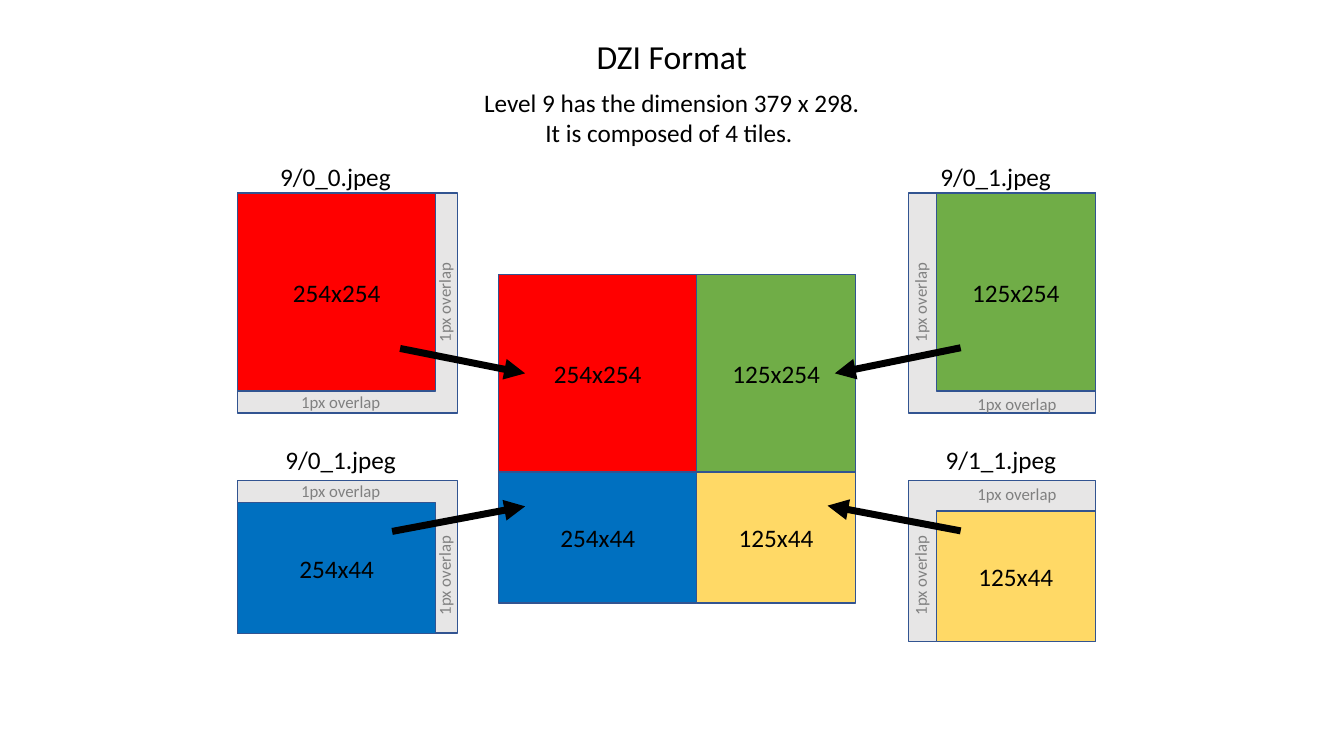
from collections import namedtuple
from pptx import Presentation
from pptx.dml.color import RGBColor
from pptx.enum.shapes import MSO_CONNECTOR, MSO_SHAPE
from pptx.enum.text import MSO_ANCHOR, MSO_AUTO_SIZE, PP_ALIGN
from pptx.oxml.ns import qn
from pptx.util import Pt
from lxml import etree

RECT = MSO_SHAPE.RECTANGLE
STRAIGHT = MSO_CONNECTOR.STRAIGHT
MIDDLE = MSO_ANCHOR.MIDDLE
FIT_SHAPE = MSO_AUTO_SIZE.SHAPE_TO_FIT_TEXT
LEFT, CENTER = PP_ALIGN.LEFT, PP_ALIGN.CENTER

FONT = "Calibri"
BLACK, GRAY, OVERLAP, OUTLINE = "000000", "808080", "E7E6E6", "325491"
COL_W = (141.3, 113.6)
ROW_H = (141.3, 93.5)
MOSAIC_X, MOSAIC_Y = 356.3, 195.9

Tile = namedtuple("Tile", "col row size color frame offset name name_at across_at down_at arrow")
TILES = [
    Tile(0, 0, "254x254", "FF0000", (169.8, 138, 157, 157), (0, 0),
         "9/0_0.jpeg", (193, 111.6), (208, 275.9), (281.5, 204.5),
         (285.8, 248.9, 375.1, 266.7)),
    Tile(1, 0, "125x254", "70AD47", (648.9, 138, 133.5, 157), (19.9, 0),
         "9/0_1.jpeg", (664.6, 111.6), (691, 278), (621.4, 204.5),
         (686.2, 248.4, 596.3, 266.7)),
    Tile(0, 1, "254x44", "0070C0", (169.8, 343.3, 157, 109), (0, 15.7),
         "9/0_1.jpeg", (196.7, 314), (208, 340), (281.5, 399.6),
         (280.1, 379.6, 375.1, 361.7)),
    Tile(1, 1, "125x44", "FFD966", (648.9, 343.3, 133.5, 115), (19.9, 21.7),
         "9/1_1.jpeg", (668.3, 314), (691, 342), (621.4, 399.6),
         (686.2, 379.2, 591.1, 361.2)),
]


def rgb(value):
    return RGBColor.from_string(value)


def format_text(tf, text, size, color, align):
    tf.text = text
    for p in tf.paragraphs:
        p.alignment = align
        for r in p.runs:
            r.font.name = FONT
            r.font.size = Pt(size)
            r.font.color.rgb = rgb(color)


def add_box(s, x, y, w, h, fill, text=None):
    sp = s.shapes.add_shape(RECT, Pt(x), Pt(y), Pt(w), Pt(h))
    sp.shadow.inherit = False
    sp.fill.solid()
    sp.fill.fore_color.rgb = rgb(fill)
    sp.line.color.rgb = rgb(OUTLINE)
    sp.line.width = Pt(1)
    if text:
        sp.text_frame.vertical_anchor = MIDDLE
        format_text(sp.text_frame, text, 18, BLACK, CENTER)


def add_label(s, x, y, w, h, text, size=18, color=BLACK, align=LEFT, rotation=0):
    tb = s.shapes.add_textbox(Pt(x), Pt(y), Pt(w), Pt(h))
    tb.rotation = rotation
    tf = tb.text_frame
    tf.word_wrap = False
    tf.auto_size = FIT_SHAPE
    format_text(tf, text, size, color, align)


def add_overlap_label(s, x, y, rotation=0):
    add_label(s, x, y, 72, 21.8, "1px overlap", 12, GRAY, rotation=rotation)


def add_arrow(s, x1, y1, x2, y2):
    cx = s.shapes.add_connector(STRAIGHT, Pt(x1), Pt(y1), Pt(x2), Pt(y2))
    cx.line.color.rgb = rgb(BLACK)
    cx.line.width = Pt(5)
    etree.SubElement(cx.line._get_or_add_ln(), qn("a:tailEnd"), type="triangle")
    etree.SubElement(cx._element.spPr, qn("a:effectLst"))


def add_tile_file(s, tile):
    x, y, w, h = tile.frame
    dx, dy = tile.offset
    add_box(s, x, y, w, h, OVERLAP)
    add_box(s, x + dx, y + dy, COL_W[tile.col], ROW_H[tile.row], tile.color, tile.size)


def add_mosaic_tile(s, tile):
    x = MOSAIC_X + sum(COL_W[:tile.col])
    y = MOSAIC_Y + sum(ROW_H[:tile.row])
    add_box(s, x, y, COL_W[tile.col], ROW_H[tile.row], tile.color, tile.size)


def add_annotations(s, tile):
    add_label(s, *tile.name_at, 94.3, 29.1, tile.name)
    add_overlap_label(s, *tile.across_at)
    add_overlap_label(s, *tile.down_at, rotation=270)
    add_arrow(s, *tile.arrow)


def main():
    prs = Presentation()
    prs.slide_width, prs.slide_height = Pt(960), Pt(540)
    s = prs.slides.add_slide(prs.slide_layouts[6])
    for add_part in (add_tile_file, add_mosaic_tile, add_annotations):
        for tile in TILES:
            add_part(s, tile)
    add_label(s, 337, 58.5, 285.8, 50.9,
              "Level 9 has the dimension 379 x 298.\nIt is composed of 4 tiles. ", align=CENTER)
    add_label(s, 418.3, 22.3, 123.1, 36.4, "DZI Format", 24, align=CENTER)
    prs.save("out.pptx")


main()
